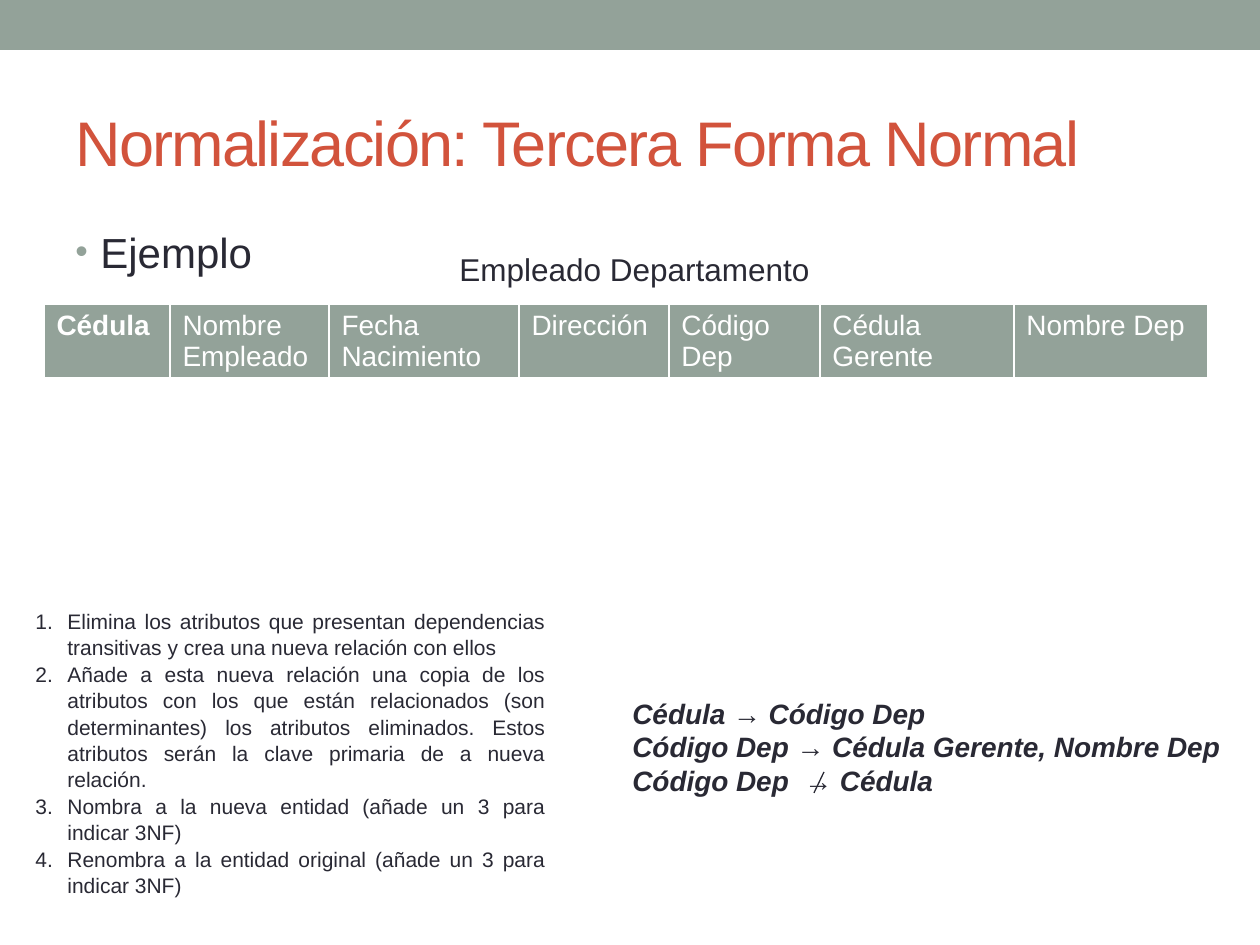
from lxml.etree import SubElement
from pptx import Presentation
from pptx.dml.color import RGBColor
from pptx.enum.shapes import MSO_CONNECTOR, MSO_SHAPE
from pptx.enum.text import MSO_ANCHOR, MSO_AUTO_SIZE, PP_ALIGN
from pptx.oxml.ns import qn
from pptx.util import Emu, Pt

PX = 914400 // 126
COLORS = {"sage": "93A299", "rust": "D2533C", "ink": "292934", "white": "FFFFFF"}
COLUMNS = [
    ("Cédula", 126), ("Nombre Empleado", 159), ("Fecha Nacimiento", 190),
    ("Dirección", 150), ("Código Dep", 151), ("Cédula Gerente", 194),
    ("Nombre Dep", 194),
]
STEPS = [
    "Elimina los atributos que presentan dependencias transitivas y crea una nueva relación con ellos",
    "Añade a esta nueva relación una copia de los atributos con los que están relacionados "
    "(son determinantes) los atributos eliminados. Estos atributos serán la clave primaria "
    "de a nueva relación.",
    "Nombra a la nueva entidad (añade un 3 para indicar 3NF)",
    "Renombra a la entidad original (añade un 3 para indicar 3NF)",
]
DEPENDENCIES = [
    "Cédula → Código Dep",
    "Código Dep → Cédula Gerente, Nombre Dep",
    "Código Dep  → Cédula",
]


def px(*lengths):
    return [Emu(length * PX) for length in lengths]


def rgb(name):
    return RGBColor.from_string(COLORS[name])


def style_font(font, size, color, bold=False, italic=False):
    font.name = "Arial"
    font.size = Pt(size)
    font.bold = bold
    font.italic = italic
    font.color.rgb = rgb(color)


def add_text(slide, box, lines, size, color="ink", align=PP_ALIGN.LEFT, emphasis=False, grow=False):
    frame = slide.shapes.add_textbox(*px(*box)).text_frame
    frame.word_wrap = True
    frame.auto_size = MSO_AUTO_SIZE.SHAPE_TO_FIT_TEXT if grow else MSO_AUTO_SIZE.NONE
    frame.text = "\n".join(lines)
    for paragraph in frame.paragraphs:
        paragraph.alignment = align
        for run in paragraph.runs:
            style_font(run.font, size, color, emphasis, emphasis)
    return frame


def hang_indent(paragraph, indent):
    properties = paragraph._p.get_or_add_pPr()
    properties.set("marL", str(indent * PX))
    properties.set("indent", str(-indent * PX))
    return properties


def add_bullet(paragraph, indent):
    properties = hang_indent(paragraph, indent)
    tint = SubElement(properties, qn("a:buClr"))
    SubElement(tint, qn("a:srgbClr"), val=COLORS["sage"])
    SubElement(properties, qn("a:buSzPct"), val="85000")
    SubElement(properties, qn("a:buFont"), typeface="Arial")
    SubElement(properties, qn("a:buChar"), char="•")


def add_number(paragraph, indent):
    properties = hang_indent(paragraph, indent)
    SubElement(properties, qn("a:buFont"), typeface="+mj-lt")
    SubElement(properties, qn("a:buAutoNum"), type="arabicPeriod")


def add_borders(cell):
    properties = cell._tc.get_or_add_tcPr()
    for side, width in (("L", 1), ("R", 1), ("T", 1), ("B", 3)):
        border = SubElement(properties, qn(f"a:ln{side}"), w=str(Pt(width)))
        fill = SubElement(border, qn("a:solidFill"))
        SubElement(fill, qn("a:srgbClr"), val=COLORS["white"])


def add_header_table(slide, left, top, height):
    width = sum(column_width for _, column_width in COLUMNS)
    table = slide.shapes.add_table(1, len(COLUMNS), *px(left, top, width, height)).table
    for index, (heading, column_width) in enumerate(COLUMNS):
        table.columns[index].width = Emu(column_width * PX)
        cell = table.cell(0, index)
        cell.text = heading
        style_font(cell.text_frame.paragraphs[0].runs[0].font, 16, "white", bold=index == 0)
        add_borders(cell)
        cell.fill.solid()
        cell.fill.fore_color.rgb = rgb("sage")


def add_band(slide, box):
    band = slide.shapes.add_shape(MSO_SHAPE.RECTANGLE, *px(*box))
    band.shadow.inherit = False
    band.fill.solid()
    band.fill.fore_color.rgb = rgb("sage")
    band.line.fill.background()


def add_strike(slide, ends):
    strike = slide.shapes.add_connector(MSO_CONNECTOR.STRAIGHT, *px(*ends))
    strike.line.color.rgb = rgb("ink")
    strike.line.width = Pt(0.75)
    SubElement(strike._element.spPr, qn("a:effectLst"))


def main():
    presentation = Presentation()
    presentation.slide_width, presentation.slide_height = px(1260, 945)
    slide = presentation.slides.add_slide(presentation.slide_layouts[6])

    add_band(slide, (0, 0, 1260, 50))
    title = add_text(slide, (63, 73, 1134, 136), ["Normalización: Tercera Forma Normal"], 36, "rust")
    title.vertical_anchor = MSO_ANCHOR.MIDDLE
    title.paragraphs[0].runs[0].font._element.set("spc", "-100")

    example = add_text(slide, (63, 220, 1134, 672), ["Ejemplo"], 24, align=PP_ALIGN.JUSTIFY)
    example.paragraphs[0].space_before = Pt(2)
    add_bullet(example.paragraphs[0], 25)

    add_header_table(slide, 44, 304, 52)
    add_text(slide, (441, 244, 387, 50), ["Empleado Departamento"], 18, align=PP_ALIGN.CENTER, grow=True)

    steps = add_text(slide, (23, 601, 535, 318), STEPS, 12, align=PP_ALIGN.JUSTIFY, grow=True)
    for step in steps.paragraphs:
        step.line_spacing = 1.05
        add_number(step, 32)

    add_text(slide, (620, 690, 635, 149), DEPENDENCIES, 16, emphasis=True, grow=True)
    add_strike(slide, (814, 793, 824, 772))
    presentation.save("out.pptx")


if __name__ == "__main__":
    main()
